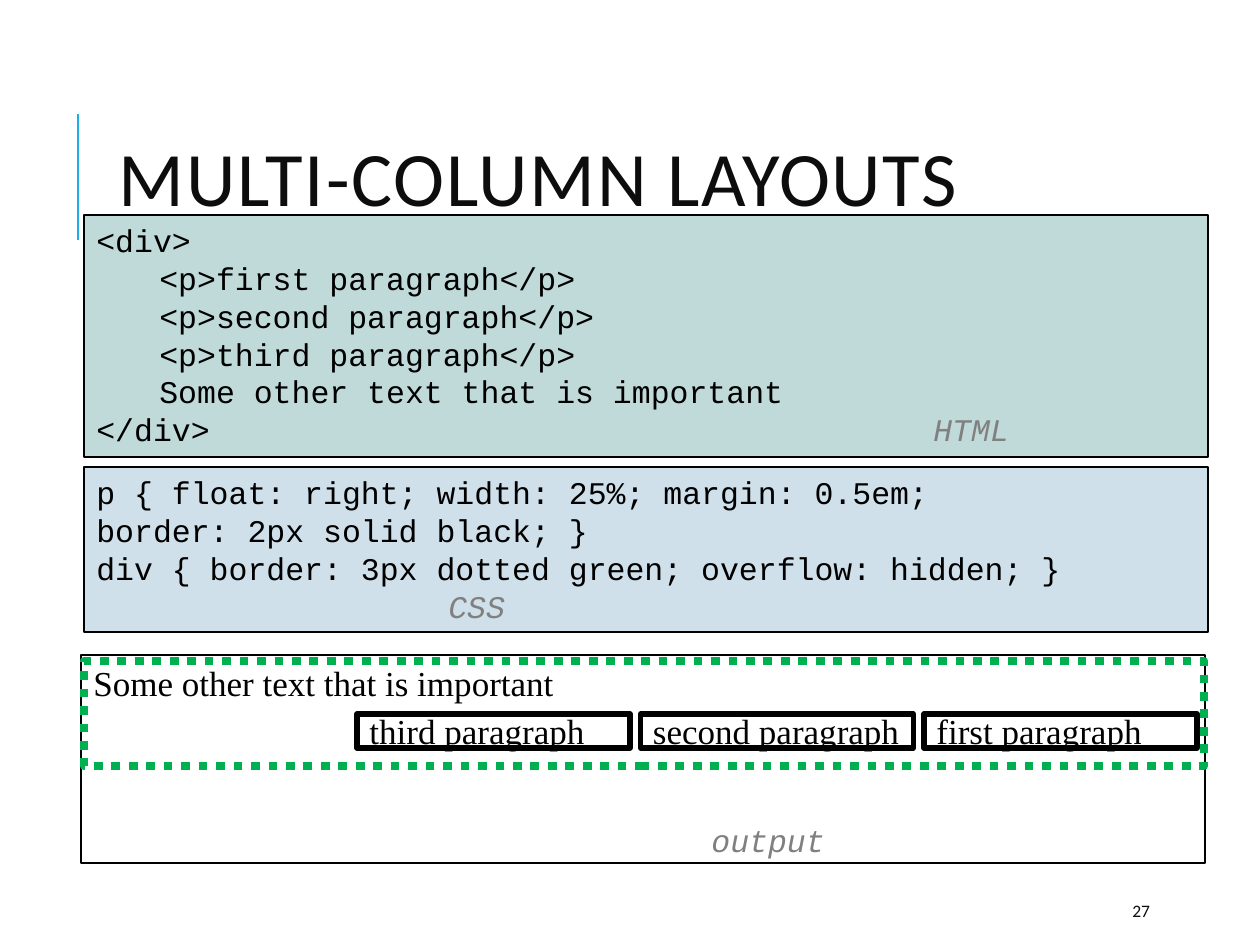
"""Build a slide on multi-column layouts with floated paragraphs."""
from lxml.etree import SubElement
from pptx import Presentation
from pptx.dml.color import RGBColor
from pptx.enum.dml import MSO_LINE
from pptx.enum.shapes import MSO_CONNECTOR, MSO_SHAPE
from pptx.enum.text import MSO_ANCHOR, MSO_AUTO_SIZE, PP_ALIGN
from pptx.oxml.ns import qn
from pptx.util import Inches, Pt

BLACK = RGBColor(0x00, 0x00, 0x00)
INK = RGBColor(0x0D, 0x0D, 0x0D)
GRAY = RGBColor(0x80, 0x80, 0x80)
WHITE = RGBColor(0xFF, 0xFF, 0xFF)
ACCENT = RGBColor(0x1C, 0xAD, 0xE4)
GREEN = RGBColor(0x00, 0xB0, 0x50)
HTML_FILL = RGBColor(0xC0, 0xDA, 0xD9)
CSS_FILL = RGBColor(0xCF, 0xE0, 0xEA)

TITLE = "MULTI-COLUMN LAYOUTS"
HTML_LINES = [
    "<div>",
    "\t<p>first paragraph</p>",
    "\t<p>second paragraph</p>",
    "\t<p>third paragraph</p>",
    "\tSome other text that is important",
]
CSS_LINES = [
    "p { float: right; width: 25%; margin: 0.5em;",
    "border: 2px solid black; }",
    "div { border: 3px dotted green; overflow: hidden; }",
]
OUTPUT_TEXT = "Some other text that is important"
FLOATS = ["third paragraph", "second paragraph", "first paragraph"]
FLOAT_LEFT, FLOAT_TOP, FLOAT_WIDTH, FLOAT_HEIGHT, FLOAT_STEP = 357, 714, 273, 34, 283.5

CODE = {"font": "Courier New", "size": 18}
LABEL = CODE | {"color": GRAY, "italic": True}
SERIF = {"font": "Times New Roman", "size": 20}


def px(value):
    return round(value * Inches(1) / 126)


def add_span(para, text, font, size, color=BLACK, italic=None, spacing=None):
    span = para.add_run()
    span.text = text
    span.font.name = font
    span.font.size = Pt(size)
    span.font.color.rgb = color
    span.font.italic = italic
    if spacing:
        span.font._element.set("spc", str(spacing))


def add_para(frame, text, indent=0, tab=0, leading=None, before=0, **style):
    first = frame.paragraphs[0]
    para = first if not first.runs else frame.add_paragraph()
    para.alignment = PP_ALIGN.LEFT
    properties = para._p.get_or_add_pPr()
    if indent:
        properties.set("marL", str(px(indent)))
        properties.set("indent", "0")
    if tab:
        stops = SubElement(properties, qn("a:tabLst"))
        SubElement(stops, qn("a:tab"), pos=str(px(tab)), algn="l")
    if leading:
        para.line_spacing = leading
    if before:
        para.space_before = px(before)
    add_span(para, text, **style)
    return para


def add_box(page, left, top, width, height, fill=None, line=BLACK, weight=1.5,
            dash=None, anchor=MSO_ANCHOR.TOP):
    box = page.shapes.add_shape(MSO_SHAPE.RECTANGLE, px(left), px(top), px(width), px(height))
    box.shadow.inherit = False
    if fill is None:
        box.fill.background()
    else:
        box.fill.solid()
        box.fill.fore_color.rgb = fill
    box.line.color.rgb = line
    box.line.width = Pt(weight)
    if dash:
        box.line.dash_style = dash
    box.text_frame.word_wrap = True
    box.text_frame.vertical_anchor = anchor
    return box.text_frame


def add_code(frame, lines):
    for line in lines:
        add_para(frame, line, leading=Pt(21.6), **CODE)


def main():
    deck = Presentation()
    deck.slide_width, deck.slide_height = Inches(10), Inches(7.5)
    page = deck.slides.add_slide(deck.slide_layouts[5])

    rule = page.shapes.add_connector(MSO_CONNECTOR.STRAIGHT, px(78), px(240), px(78), px(114))
    rule.line.color.rgb = ACCENT
    rule.line.width = Pt(1.5)
    SubElement(rule._element.spPr, qn("a:effectLst"))

    title = page.shapes.title
    title.left, title.top, title.width, title.height = px(106), px(81), px(1004), px(207)
    title.text_frame.auto_size = MSO_AUTO_SIZE.NONE
    title.text_frame.vertical_anchor = MSO_ANCHOR.MIDDLE
    add_para(title.text_frame, TITLE, leading=0.8, font="Calibri", size=44,
             color=INK, spacing=100)

    number = page.shapes.add_textbox(px(1120), px(892), px(101), px(38)).text_frame
    number.word_wrap = True
    number.vertical_anchor = MSO_ANCHOR.MIDDLE
    add_para(number, "27", font="Calibri", size=10, color=INK)

    html = add_box(page, 84, 215, 1124, 242, fill=HTML_FILL)
    add_code(html, HTML_LINES)
    closing = add_para(html, "</div>\t", tab=837, leading=Pt(21.6), **CODE)
    add_span(closing, "HTML", **LABEL)

    output = add_box(page, 81, 655, 1124, 208, fill=WHITE)
    add_para(output, OUTPUT_TEXT, **SERIF)
    add_para(output, "output", indent=618, leading=Pt(21.6), before=118, **LABEL)

    css = add_box(page, 84, 467, 1124, 165, fill=CSS_FILL)
    add_code(css, CSS_LINES)
    add_para(css, "CSS", indent=352, leading=Pt(21.6), **LABEL)

    add_box(page, 84, 661, 1120, 105, line=GREEN, weight=5, dash=MSO_LINE.ROUND_DOT)
    for index, text in enumerate(FLOATS):
        frame = add_box(page, FLOAT_LEFT + index * FLOAT_STEP, FLOAT_TOP, FLOAT_WIDTH,
                        FLOAT_HEIGHT, weight=3, anchor=MSO_ANCHOR.MIDDLE)
        add_para(frame, text, **SERIF)

    deck.save("out.pptx")


if __name__ == "__main__":
    main()
